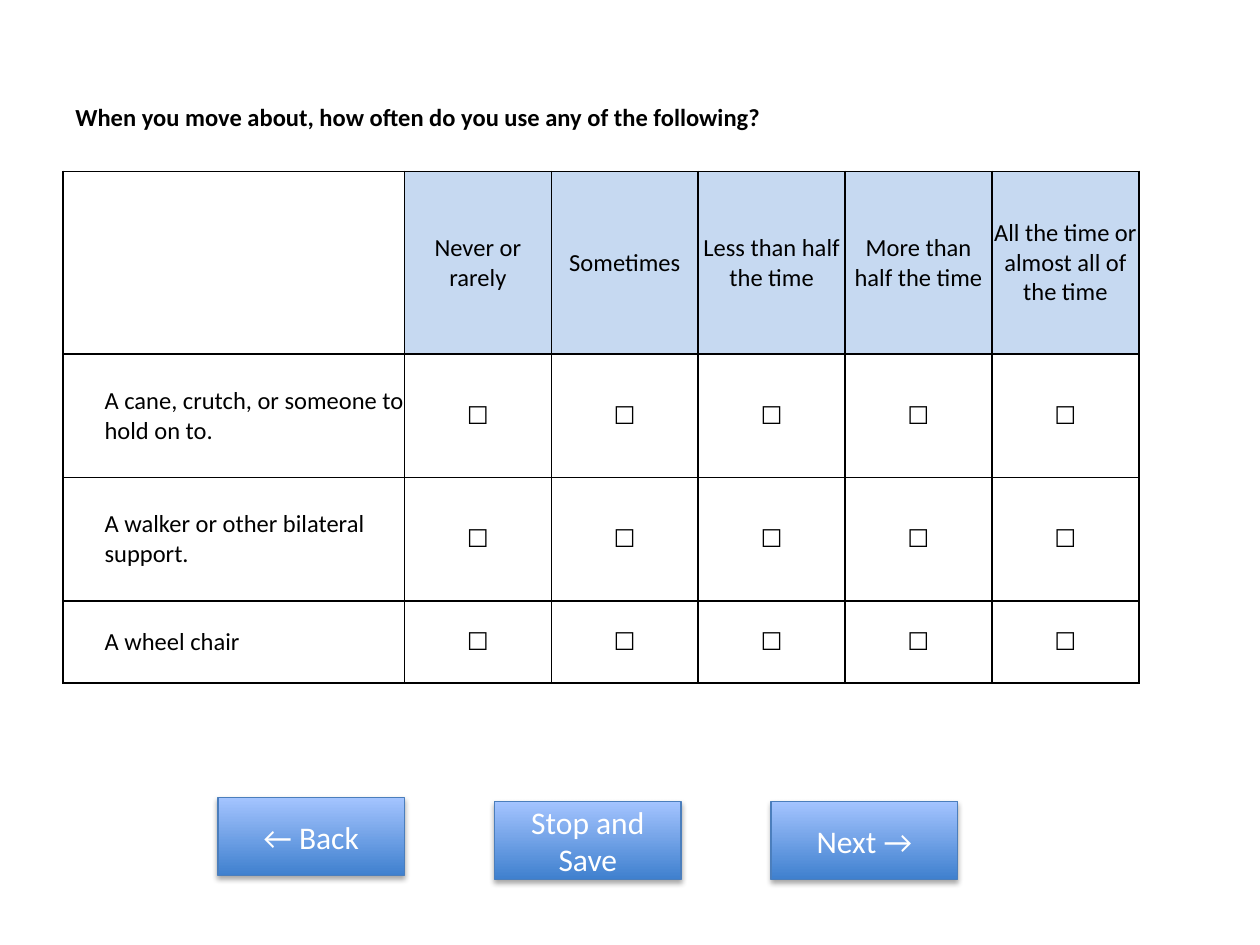
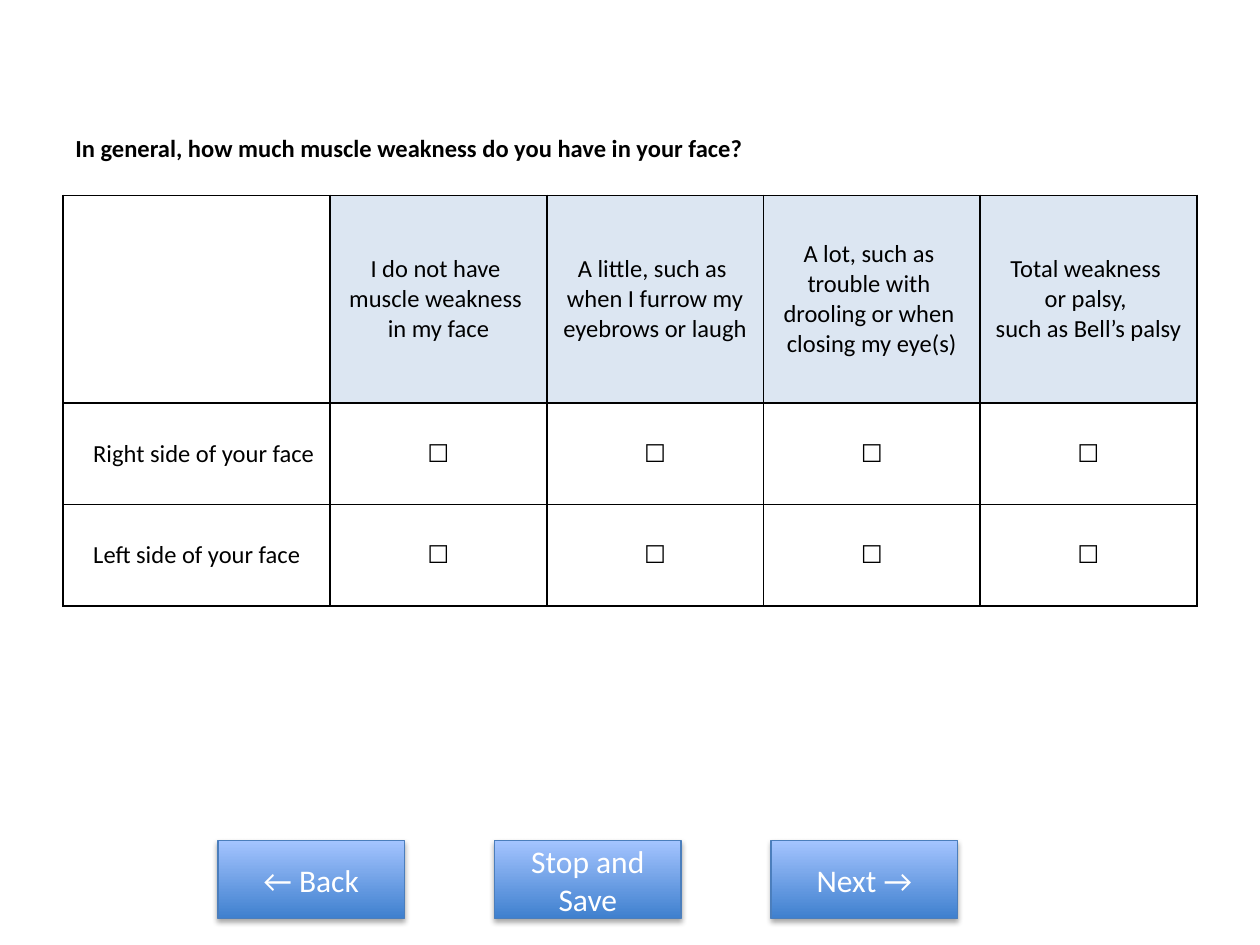
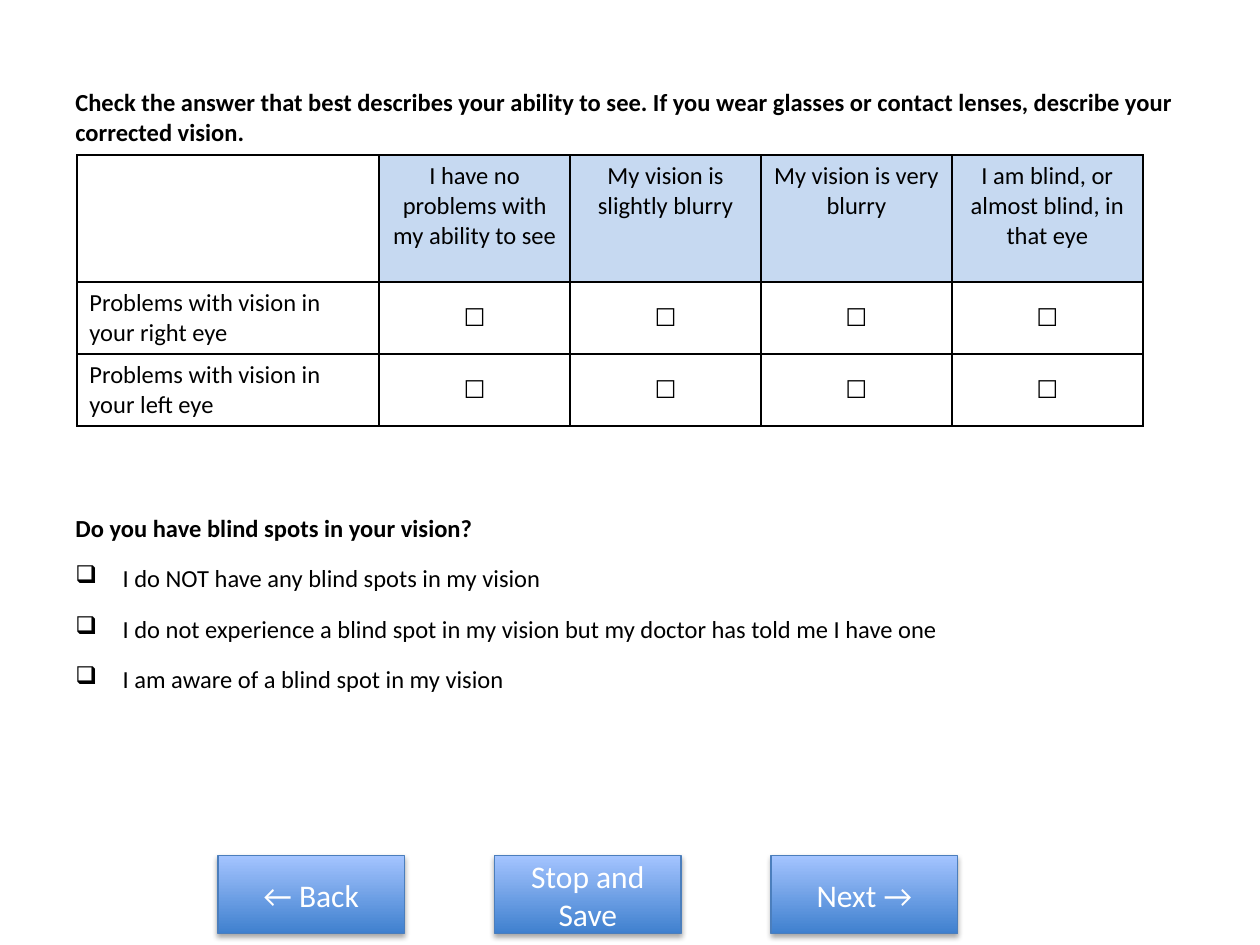
from lxml.etree import SubElement
from pptx import Presentation
from pptx.dml.color import RGBColor
from pptx.enum.shapes import MSO_SHAPE as Preset
from pptx.enum.text import MSO_ANCHOR as Anchor, PP_ALIGN as Align
from pptx.oxml.ns import qn
from pptx.util import Emu, Inches, Pt

SLIDE_W, SLIDE_H = Inches(10), Inches(7.5)
GRID_COLS, GRID_ROWS = 100, 75
FONT = "Calibri"
BLACK, WHITE = "000000", "FFFFFF"
HEADER_BLUE, HEADER_PALE = "C6D9F1", "DCE6F2"
BUTTON_DARK, BUTTON_LIGHT, BUTTON_EDGE = "3F80CE", "A4C4FF", "4B7EBC"
BUTTON_LABELS = ["← Back", "Stop and Save", "Next →"]
BUTTON_FIRST, BUTTON_LAST = 17.3, 61.2
CHECKBOX = "☐"
TIGHT = (0, 0, 0, 0)
ROOMY = (1, 0.5, 1, 0.5)


def cols(count):
    return Emu(round(SLIDE_W * count / GRID_COLS))


def rows(count):
    return Emu(round(SLIDE_H * count / GRID_ROWS))


def area(left, top, width, height):
    return cols(left), rows(top), cols(width), rows(height)


def color(code):
    return RGBColor.from_string(code)


def write(paragraph, text, size=14, ink=BLACK, bold=False, align=Align.LEFT):
    paragraph.alignment = align
    run = paragraph.add_run()
    run.text = text
    run.font.name = FONT
    run.font.size = Pt(size)
    run.font.bold = bold
    run.font.color.rgb = color(ink)


def add_text_area(slide, place, anchor):
    frame = slide.shapes.add_textbox(*area(*place)).text_frame
    frame.word_wrap = True
    frame.vertical_anchor = anchor
    return frame


def add_question(slide, text, top=3, height=12.5):
    frame = add_text_area(slide, (5, top, 90, height), Anchor.MIDDLE)
    write(frame.paragraphs[0], text, bold=True)


def add_checklist(slide, question, options, place):
    frame = add_text_area(slide, place, Anchor.TOP)
    write(frame.paragraphs[0], question, bold=True)
    for option in options:
        paragraph = frame.add_paragraph()
        paragraph.space_before = Pt(12)
        write(paragraph, option)
        props = paragraph._p.get_or_add_pPr()
        indent = cols(3.75)
        props.set("marL", str(indent))
        props.set("indent", str(-indent))
        SubElement(props, qn("a:buChar"), char="❑")


def draw_borders(cell):
    props = cell._tc.get_or_add_tcPr()
    for side in ("lnL", "lnR", "lnT", "lnB"):
        edge = SubElement(props, qn("a:" + side), w=str(Pt(1)))
        ink = SubElement(edge, qn("a:solidFill"))
        SubElement(ink, qn("a:srgbClr"), val=BLACK)


def fill_cell(cell, text, fill, align, margins, anchor):
    draw_borders(cell)
    if fill:
        cell.fill.solid()
        cell.fill.fore_color.rgb = color(fill)
    else:
        cell.fill.background()
    left, top, right, bottom = margins
    cell.margin_left, cell.margin_right = cols(left), cols(right)
    cell.margin_top, cell.margin_bottom = rows(top), rows(bottom)
    cell.vertical_anchor = anchor
    for index, line in enumerate(text.split("\n") if text else []):
        frame = cell.text_frame
        paragraph = frame.add_paragraph() if index else frame.paragraphs[0]
        write(paragraph, line, align=align)


def add_answer_grid(slide, place, label_width, heights, answers, items, header_fill,
                    label_margins, body_fill=None, header_margins=TIGHT, anchor=Anchor.MIDDLE):
    frame = slide.shapes.add_table(len(items) + 1, len(answers) + 1, *area(*place))
    table = frame.table
    table.first_row = table.horz_banding = False
    answer_width = (place[2] - label_width) / len(answers)
    for index, column in enumerate(table.columns):
        column.width = cols(answer_width if index else label_width)
    for row, height in zip(table.rows, heights):
        row.height = rows(height)
    fill_cell(table.cell(0, 0), "", body_fill, Align.LEFT, label_margins, anchor)
    for column, answer in enumerate(answers, 1):
        fill_cell(table.cell(0, column), answer, header_fill, Align.CENTER, header_margins, anchor)
    for row, item in enumerate(items, 1):
        fill_cell(table.cell(row, 0), item, body_fill, Align.LEFT, label_margins, anchor)
        for column in range(1, len(answers) + 1):
            fill_cell(table.cell(row, column), CHECKBOX, body_fill, Align.CENTER, TIGHT,
                      Anchor.MIDDLE)


def add_soft_shadow(shape):
    shape.shadow.inherit = False
    effects = shape._element.spPr.find(qn("a:effectLst"))
    shadow = SubElement(effects, qn("a:outerShdw"), blurRad=str(Pt(3.1)), dist=str(Pt(1.8)),
                        dir="5400000", rotWithShape="0")
    tint = SubElement(shadow, qn("a:srgbClr"), val=BLACK)
    SubElement(tint, qn("a:alpha"), val="35000")


def add_button(slide, label, left, top):
    button = slide.shapes.add_shape(Preset.RECTANGLE, *area(left, top, 14.8, 6.2))
    button.fill.gradient()
    button.fill.gradient_angle = 90
    shades = zip(button.fill.gradient_stops, (BUTTON_DARK, BUTTON_LIGHT), (0, 1))
    for stop, shade, position in shades:
        stop.color.rgb = color(shade)
        stop.position = position
    button.line.color.rgb = color(BUTTON_EDGE)
    button.line.width = Pt(0.75)
    add_soft_shadow(button)
    button.text_frame.word_wrap = True
    button.text_frame.vertical_anchor = Anchor.MIDDLE
    write(button.text_frame.paragraphs[0], label, 18, WHITE, align=Align.CENTER)


def add_navigation(slide, top, back_top=None):
    step = (BUTTON_LAST - BUTTON_FIRST) / (len(BUTTON_LABELS) - 1)
    tops = [back_top or top, top, top]
    for index, label in enumerate(BUTTON_LABELS):
        add_button(slide, label, BUTTON_FIRST + index * step, tops[index])


def build_mobility(slide):
    add_question(slide, "When you move about, how often do you use any of the following?")
    add_answer_grid(
        slide, (5, 13.6, 85.4, 40.6), 27.1, [14.5, 9.8, 9.8, 6.5],
        ["Never or rarely", "Sometimes", "Less than half the time", "More than half the time",
         "All the time or almost all of the time"],
        ["A cane, crutch, or someone to hold on to.", "A walker or other bilateral support.",
         "A wheel chair"],
        HEADER_BLUE, (3.3, 0, 0, 0))
    add_navigation(slide, 63.6, back_top=63.3)


def build_face(slide):
    add_question(slide, "In general, how much muscle weakness do you have in your face?", 6.6, 10.2)
    add_answer_grid(
        slide, (5, 15.5, 90, 32.6), 21.2, [16.5, 8.05, 8.05],
        ["I do not have \nmuscle weakness \nin my face",
         "A little, such as \nwhen I furrow my eyebrows or laugh",
         "A lot, such as \ntrouble with \ndrooling or when \nclosing my eye(s)",
         "Total weakness \nor palsy, \nsuch as Bell’s palsy"],
        ["Right side of your face", "Left side of your face"],
        HEADER_PALE, (2.4, 0, 0, 0), body_fill=WHITE)
    add_navigation(slide, 66.7)


def build_vision(slide):
    add_question(slide, "Check the answer that best describes your ability to see. If you wear "
                        "glasses or contact lenses, describe your corrected vision. ")
    add_checklist(
        slide, "Do you have blind spots in your vision?",
        ["I do NOT have any blind spots in my vision",
         "I do not experience a blind spot in my vision but my doctor has told me I have one ",
         "I am aware of a blind spot in my vision "],
        (5, 40.2, 90, 26.8))
    add_answer_grid(
        slide, (6.1, 12.3, 84.6, 21.5), 24, [10.1, 5.7, 5.7],
        ["I have no problems with my ability to see", "My vision is slightly blurry",
         "My vision is very blurry", "I am blind, or almost blind, in that eye"],
        ["Problems with vision in your right eye", "Problems with vision in your left eye"],
        HEADER_BLUE, ROOMY, header_margins=ROOMY, anchor=Anchor.TOP)
    add_navigation(slide, 67.9)


def main():
    deck = Presentation()
    deck.slide_width, deck.slide_height = SLIDE_W, SLIDE_H
    blank = deck.slide_layouts[6]
    for build in (build_mobility, build_face, build_vision):
        build(deck.slides.add_slide(blank))
    deck.save("out.pptx")


main()
